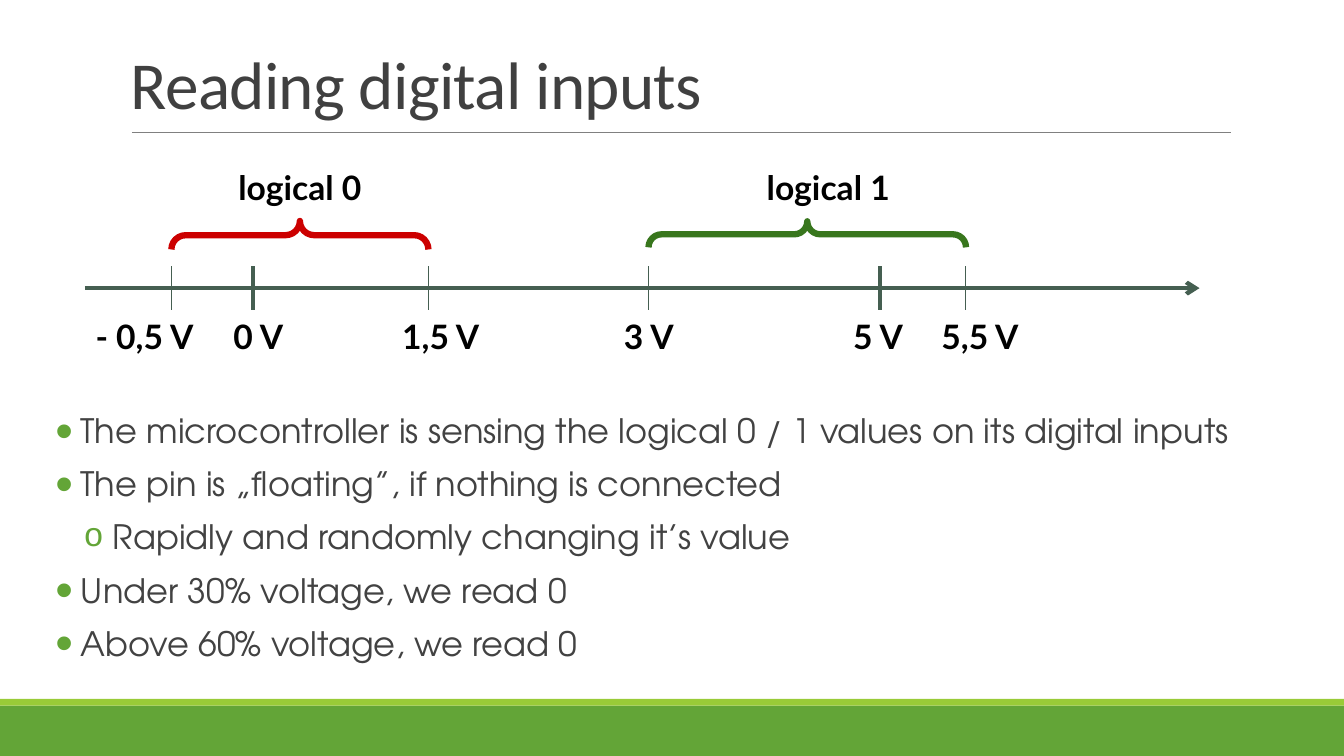
from lxml.etree import SubElement
from pptx import Presentation
from pptx.dml.color import RGBColor as Color
from pptx.enum.shapes import MSO_CONNECTOR as Connector, MSO_SHAPE as Shape
from pptx.enum.text import MSO_ANCHOR as Anchor
from pptx.oxml.ns import qn
from pptx.util import Inches, Pt

COLORS = {
    "green": "63A537", "lime": "99CB38", "rule": "808080", "title": "404040",
    "body": "424242", "axis": "455F51", "label": "000000",
    "low": "CC0000", "high": "38761D",
}

deck = Presentation()
deck.slide_width, deck.slide_height = Inches(13.33), Inches(7.5)
COL, ROW = deck.slide_width / 16, deck.slide_height / 9
page = deck.slides.add_slide(deck.slide_layouts[6])


def add_text(text, left, top, width, height, font="Lato", size=24, color="label",
             bold=False, inset=(0.1, 0.1), anchor=Anchor.TOP):
    box = page.shapes.add_textbox(
        int(left * COL), int(top * ROW), int(width * COL), int(height * ROW))
    frame = box.text_frame
    frame.word_wrap = True
    frame.vertical_anchor = anchor
    frame.margin_left = frame.margin_right = Inches(inset[0])
    frame.margin_top = frame.margin_bottom = Inches(inset[1])
    frame.text = text
    for para in frame.paragraphs:
        for span in para.runs:
            span.font.name, span.font.size, span.font.bold = font, Pt(size), bold
            span.font.color.rgb = Color.from_string(COLORS[color])
    return frame


def add_line(start, end, color, weight):
    line = page.shapes.add_connector(
        Connector.STRAIGHT, int(start[0] * COL), int(start[1] * ROW),
        int(end[0] * COL), int(end[1] * ROW))
    line.line.color.rgb = Color.from_string(COLORS[color])
    line.line.width = Pt(weight)
    SubElement(line._element.spPr, qn("a:effectLst"))
    return line


for color, top, height in [("green", 8.4, 0.6), ("lime", 8.32, 0.08)]:
    band = page.shapes.add_shape(
        Shape.RECTANGLE, 0, int(top * ROW), deck.slide_width, int(height * ROW))
    band.shadow.inherit = False
    band.fill.solid()
    band.fill.fore_color.rgb = Color.from_string(COLORS[color])
    band.line.fill.background()

add_line((1.57, 1.58), (14.65, 1.58), "rule", 0.5)
title = add_text("Reading digital inputs", 1.44, 0.37, 13.2, 1.16, font="Calibri",
                 size=48, color="title", inset=(0.1, 0.05), anchor=Anchor.BOTTOM)
title.paragraphs[0].line_spacing = 0.85
title.paragraphs[0].runs[0].font._element.set("spc", "-50")

BULLETS = [("•", "Arial", 150, 0.35, -0.25), ("o", "Courier New", 100, 0.67, -0.29)]
points = [
    (0, "The microcontroller is sensing the logical 0 / 1 values on its digital inputs"),
    (0, "The pin is „floating”, if nothing is connected"),
    (1, "Rapidly and randomly changing it’s value"),
    (0, "Under 30% voltage, we read 0"),
    (0, "Above 60% voltage, we read 0"),
]
body = add_text("\n".join(text for level, text in points), 0.54, 4.88, 14.35, 3.43,
                font="TeX Gyre Adventor", color="body", inset=(0, 0.05))
for para, (level, text) in zip(body.paragraphs, points):
    mark, mark_font, percent, margin, indent = BULLETS[level]
    para.level = level
    para.line_spacing, para.space_after = 0.9, Pt(12)
    props = para._p.get_or_add_pPr()
    props.set("marL", str(Inches(margin)))
    props.set("indent", str(Inches(indent)))
    SubElement(SubElement(props, qn("a:buClr")), qn("a:srgbClr"), val=COLORS["green"])
    SubElement(props, qn("a:buSzPct"), val=str(percent * 1000))
    SubElement(props, qn("a:buFont"), typeface=mark_font)
    SubElement(props, qn("a:buChar"), char=mark)

AXIS_ROW, TICK_HALF = 3.43, 0.26
axis = add_line((1.01, AXIS_ROW), (14.28, AXIS_ROW), "axis", 3)
SubElement(axis.line._get_or_add_ln(), qn("a:tailEnd"), type="arrow")

ticks = [
    ("- 0,5 V", 2.04, 0.75, 1.02, 1.86),
    ("0 V", 3.01, 3, 2.66, 1.26),
    ("1,5 V", 5.1, 0.75, 4.67, 1.26),
    ("3 V", 7.72, 0.75, 7.31, 0.94),
    ("5 V", 10.48, 3, 10.04, 0.98),
    ("5,5 V", 11.5, 0.75, 11.09, 1.26),
]
for volts, column, weight, left, width in ticks:
    add_line((column, AXIS_ROW - TICK_HALF), (column, AXIS_ROW + TICK_HALF),
             "axis", weight)
    add_text(volts, left, 3.64, width, 0.73, bold=True)

ranges = [
    ("logical 0", "low", 2.04, 5.1, 2.8, 0.34, 2.72, 2.08),
    ("logical 1", "high", 7.72, 11.5, 2.79, 0.31, 9.01, 1.98),
]
for name, color, start, end, middle, depth, left, width in ranges:
    length = end - start
    brace = page.shapes.add_shape(
        Shape.LEFT_BRACE, int((start + end - depth) / 2 * COL),
        int(middle * ROW - length / 2 * COL), int(depth * COL), int(length * COL))
    brace.rotation = 90
    brace.adjustments[0] = brace.adjustments[1] = 0.5
    brace.shadow.inherit = False
    brace.fill.background()
    brace.line.color.rgb = Color.from_string(COLORS[color])
    brace.line.width = Pt(4.5)
    add_text(name, left, 1.87, width, 0.73, bold=True)

deck.save("out.pptx")
